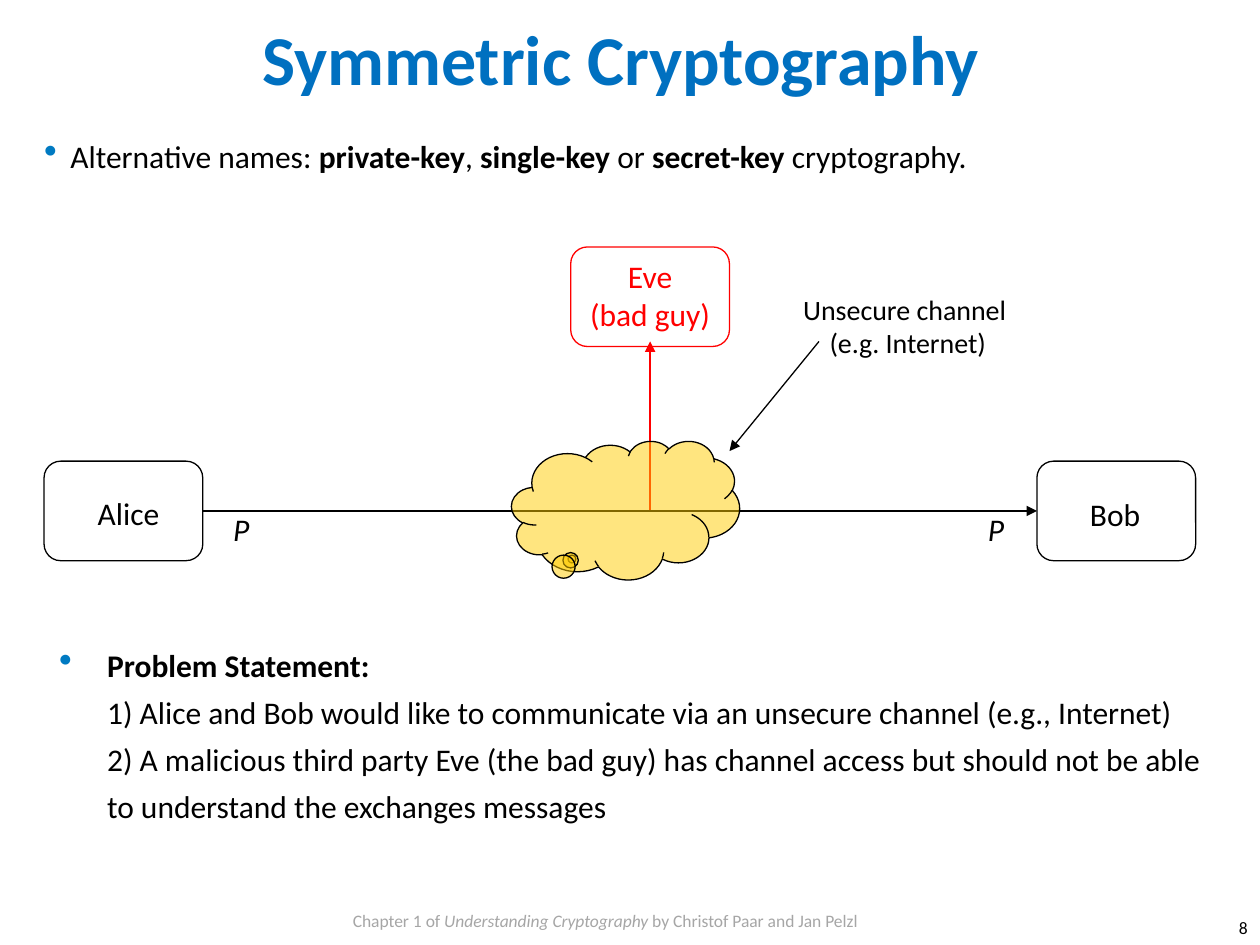
from lxml import etree
from pptx import Presentation
from pptx.dml.color import RGBColor
from pptx.enum.shapes import MSO_CONNECTOR, MSO_SHAPE
from pptx.enum.text import PP_ALIGN
from pptx.oxml.ns import qn
from pptx.util import Inches, Pt

LEFT, CENTER, RIGHT = PP_ALIGN.LEFT, PP_ALIGN.CENTER, PP_ALIGN.RIGHT
ROUND, CLOUD = MSO_SHAPE.ROUNDED_RECTANGLE, MSO_SHAPE.CLOUD_CALLOUT
STRAIGHT = MSO_CONNECTOR.STRAIGHT

COLORS = {"title": "0070C0", "bullet": "007AC2", "text": "000000",
          "foot": "A6A6A6", "eve": "FF0000", "cloud": "FFCC00"}
FACE = "Calibri"
PARTY = (1.26, 0.79)


def rgb(name):
    return RGBColor.from_string(COLORS[name])


def add_sub(parent, tag, **attrs):
    node = etree.SubElement(parent, qn(tag))
    for key, value in attrs.items():
        node.set(key, str(value))
    return node


def add_bullet(para, indent):
    props = para._p.get_or_add_pPr()
    props.set("marL", str(Inches(indent)))
    props.set("indent", str(-Inches(indent)))
    add_sub(add_sub(props, "a:buClr"), "a:srgbClr", val=COLORS["bullet"])
    add_sub(props, "a:buSzPct", val=120000)
    add_sub(props, "a:buChar", char="•")


def add_text(slide, at, runs, size=18, color="text", align=LEFT,
             spacing=None, indent=None, wrap=True, inset=0):
    """Add a one-paragraph box; runs holds (text, style), style "b", "i" or ""."""
    box = slide.shapes.add_textbox(*map(Inches, at))
    frame = box.text_frame
    frame.word_wrap = wrap
    frame.margin_left = frame.margin_right = Inches(inset)
    frame.margin_top = frame.margin_bottom = Inches(inset / 2)
    para = frame.paragraphs[0]
    para.alignment = align
    if spacing:
        para.line_spacing = spacing
    if indent:
        add_bullet(para, indent)
    font = para.font
    font.name, font.size = FACE, Pt(size)
    font.color.rgb = rgb(color)
    for text, style in runs:
        for row, line in enumerate(text.split("\n")):
            if row:
                para.add_line_break()
            if line:
                run = para.add_run()
                run.text = line
                if style:
                    run.font.bold = style == "b"
                    run.font.italic = style == "i"


def add_outline(slide, kind, at, color, adjust):
    shape = slide.shapes.add_shape(kind, *map(Inches, at))
    shape.shadow.inherit = False
    shape.fill.background()
    shape.line.color.rgb = rgb(color)
    shape.line.width = Pt(0.75)
    for i, value in enumerate(adjust):
        shape.adjustments[i] = value
    return shape


def add_party(slide, spot, label, label_at, color="text"):
    box = add_outline(slide, ROUND, (*spot, *PARTY), color, [0.167])
    add_text(slide, label_at, [(label, "")], color=color, align=CENTER)
    return box


def add_arrow(slide, start, end, color="text"):
    line = slide.shapes.add_connector(STRAIGHT, *map(Inches, (*start, *end)))
    line.line.color.rgb = rgb(color)
    line.line.width = Pt(0.75)
    add_sub(line.line._get_or_add_ln(), "a:tailEnd", type="triangle")
    add_sub(line._element.spPr, "a:effectLst")
    return line


def add_cloud(slide):
    cloud = add_outline(slide, CLOUD, (4.06, 3.5, 1.81, 1.1), "text",
                        [-0.235, 0.352])
    cloud.fill.solid()
    cloud.fill.fore_color.rgb = rgb("cloud")
    tint = cloud._element.spPr.find(qn("a:solidFill"))[0]
    add_sub(tint, "a:alpha", val=50000)


def add_scheme(slide):
    alice = add_party(slide, (0.35, 3.66), "Alice", (0.47, 3.92, 1.1, 0.3))
    bob = add_party(slide, (8.23, 3.66), "Bob", (8.3, 3.93, 1.1, 0.3))
    add_party(slide, (4.53, 1.96), "Eve\n(bad guy)",
              (4.61, 2.04, 1.1, 0.6), "eve")
    channel = add_arrow(slide, (1.61, 4.05), (8.23, 4.05))
    channel.begin_connect(alice, 3)
    channel.end_connect(bob, 1)
    add_arrow(slide, (5.16, 4.05), (5.16, 2.71), "eve")
    for left in (1.85, 7.84):
        add_text(slide, (left, 4.05, 0.13, 0.3), [("P", "i")], wrap=False)
    add_cloud(slide)
    add_arrow(slide, (6.5, 2.71), (5.79, 3.58))
    add_text(slide, (6.34, 2.32, 1.73, 0.54),
             [("Unsecure channel \n(e.g. Internet)", "")], 16, align=CENTER)


def main():
    deck = Presentation()
    deck.slide_width, deck.slide_height = Inches(10), Inches(7.5)
    slide = deck.slides.add_slide(deck.slide_layouts[6])
    add_text(slide, (2.8, 7.19, 4.73, 0.28),
             [("Chapter 1 of ", ""), ("Understanding Cryptography", "i"),
              (" by Christof Paar and Jan Pelzl", "")],
             10, "foot", spacing=1.2)
    add_text(slide, (1.39, 0.12, 7.07, 0.56),
             [("Symmetric Cryptography", "b")], 40, "title", CENTER)
    add_text(slide, (0.35, 1.01, 7.93, 0.81),
             [("Alternative names: ", ""), ("private-key", "b"), (", ", ""),
              ("single-key ", "b"), ("or ", ""), ("secret-key ", "b"),
              ("cryptography.", "")], spacing=1.25, indent=0.21)
    add_scheme(slide)
    add_text(slide, (0.47, 5.05, 9.11, 1.49),
             [("Problem Statement: \n", "b"),
              ("1) Alice and Bob would like to communicate via an unsecure "
               "channel (e.g., Internet)\n2) A malicious third party Eve "
               "(the bad guy) has channel access but should not be able to "
               "understand the exchanges messages", "")],
             spacing=1.25, indent=0.38)
    add_text(slide, (9.58, 7.23, 0.42, 0.24), [("8", "")], 10,
             align=RIGHT, inset=0.1)
    deck.save("out.pptx")


if __name__ == "__main__":
    main()
